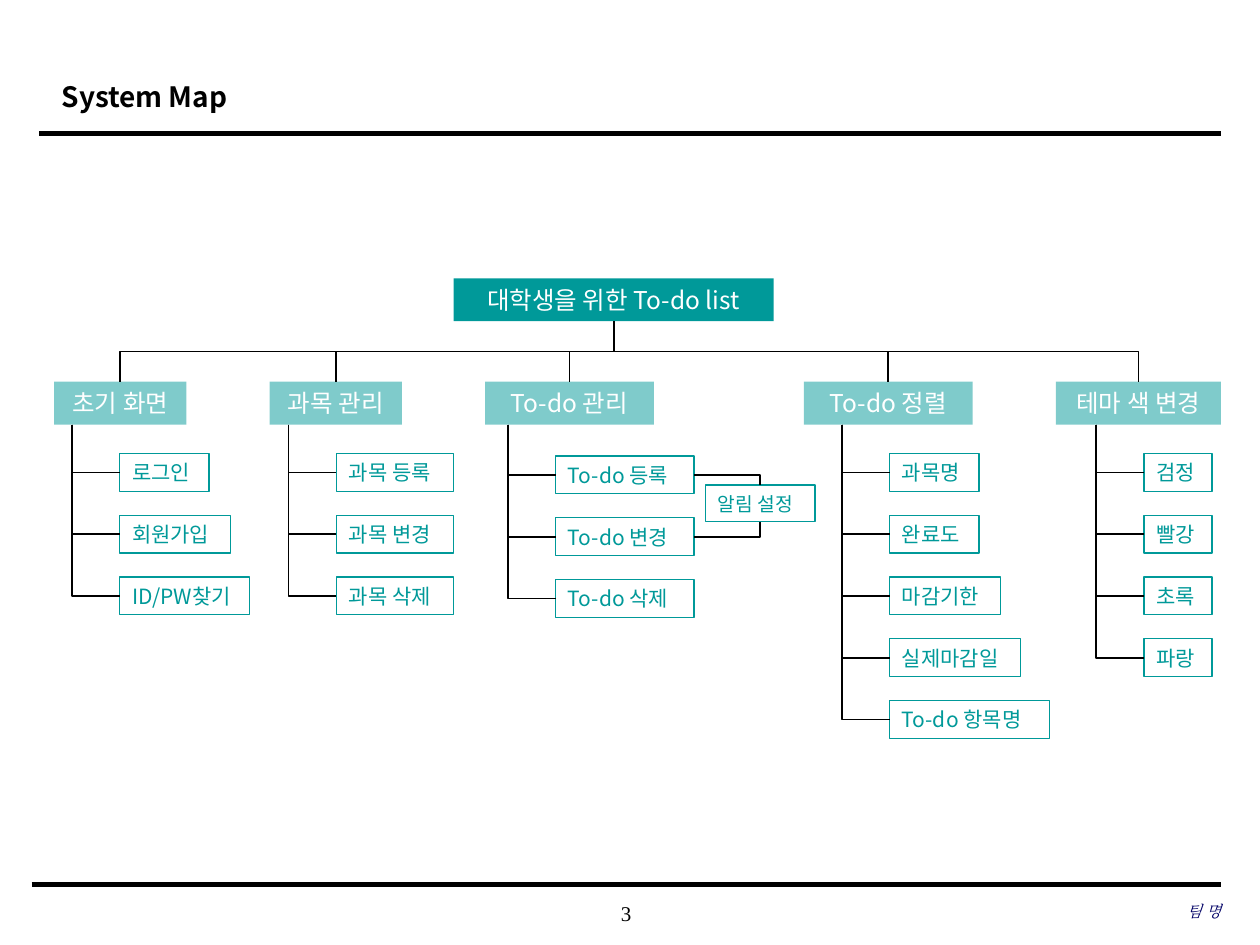
"""Build a system map slide: one root, five branches and their leaves."""
from dataclasses import dataclass

from lxml import etree
from pptx import Presentation
from pptx.dml.color import RGBColor
from pptx.enum.shapes import MSO_CONNECTOR, MSO_SHAPE
from pptx.enum.text import MSO_ANCHOR, PP_ALIGN
from pptx.oxml.ns import qn
from pptx.util import Inches, Pt

STRAIGHT, ELBOW = MSO_CONNECTOR.STRAIGHT, MSO_CONNECTOR.ELBOW
RECTANGLE = MSO_SHAPE.RECTANGLE
LEFT, CENTER, RIGHT = PP_ALIGN.LEFT, PP_ALIGN.CENTER, PP_ALIGN.RIGHT
MIDDLE = MSO_ANCHOR.MIDDLE


@dataclass(frozen=True)
class Theme:
    """Colours, fonts and type sizes of the slide."""
    teal: str = "009999"
    white: str = "FFFFFF"
    black: str = "000000"
    navy: str = "000066"
    sans: str = "Noto Sans CJK KR"
    serif: str = "Times New Roman"
    title: int = 16
    node: int = 14
    leaf: int = 12
    alarm: int = 11
    team: int = 9


@dataclass(frozen=True)
class Branch:
    """One branch: its header, and its leaves with their widths."""
    name: str
    left: float
    width: float
    leaf_left: float
    leaves: tuple
    drop: float = 0


THEME = Theme()
ROOT = (3.6, 2.21, 2.54, 0.34)
BRANCH_TOP, BRANCH_HEIGHT = 3.03, 0.34
LEAF_TOP, LEAF_HEIGHT, LEAF_PITCH, LEAF_INDENT = 3.6, 0.3, 0.49, 0.38
ALARM = (5.6, 3.85, 0.87, 0.29)
BRANCHES = (
    Branch("초기 화면", 0.43, 1.05, 0.95,
           (("로그인", 0.71), ("회원가입", 0.88), ("ID/PW찾기", 1.03))),
    Branch("과목 관리", 2.14, 1.05, 2.67,
           (("과목 등록", 0.93), ("과목 변경", 0.93), ("과목 삭제", 0.93))),
    Branch("To-do 관리", 3.85, 1.34, 4.41,
           (("To-do 등록", 1.1), ("To-do 변경", 1.1), ("To-do 삭제", 1.1)), 0.02),
    Branch("To-do 정렬", 6.38, 1.34, 7.06,
           (("과목명", 0.71), ("완료도", 0.71), ("마감기한", 0.88),
            ("실제마감일", 1.04), ("To-do 항목명", 1.27))),
    Branch("테마 색 변경", 8.38, 1.31, 9.08,
           (("검정", 0.54), ("빨강", 0.54), ("초록", 0.54), ("파랑", 0.54))),
)
TODO = BRANCHES[2]


def write(shape, text, size, color, align=LEFT, family=THEME.sans):
    """Put one formatted paragraph into a shape and return it."""
    shape.text_frame.text = text
    shape.text_frame.vertical_anchor = MIDDLE
    paragraph = shape.text_frame.paragraphs[0]
    paragraph.alignment = align
    font = paragraph.font
    font.name, font.size = family, Pt(size)
    font.color.rgb = RGBColor.from_string(color)
    latin = paragraph._p.pPr.find(qn("a:defRPr")).find(qn("a:latin"))
    east_asian = etree.Element(qn("a:ea"), typeface=family)
    latin.addnext(east_asian)
    return paragraph


def set_insets(frame, sides, ends, right=None):
    """Set the inner margins of a text frame in inches."""
    frame.margin_left = Inches(sides)
    frame.margin_right = Inches(sides if right is None else right)
    frame.margin_top = frame.margin_bottom = Inches(ends)


def add_box(slide, place):
    """Add a plain rectangle without a shadow."""
    box = slide.shapes.add_shape(RECTANGLE, *map(Inches, place))
    box.shadow.inherit = False
    return box


def add_node(slide, text, place, opacity=100):
    """Add a filled teal node with centred white text."""
    node = add_box(slide, place)
    node.fill.solid()
    node.fill.fore_color.rgb = RGBColor.from_string(THEME.teal)
    node.line.fill.background()
    if opacity < 100:
        tint = node._element.spPr.find(qn("a:solidFill"))[0]
        etree.SubElement(tint, qn("a:alpha"), val=str(opacity * 1000))
    set_insets(node.text_frame, 0.1, 0.03)
    node.text_frame.word_wrap = False
    write(node, text, THEME.node, THEME.white, CENTER)


def add_leaf(slide, text, place, size=THEME.leaf):
    """Add an outlined leaf with teal text."""
    leaf = add_box(slide, place)
    leaf.fill.background()
    leaf.line.color.rgb = RGBColor.from_string(THEME.teal)
    leaf.line.width = Pt(0.75)
    set_insets(leaf.text_frame, 0.1, 0.03, right=0)
    leaf.text_frame.word_wrap = True
    write(leaf, text, size, THEME.teal)


def add_line(slide, start, end, weight=1, kind=STRAIGHT):
    """Add a black line without a shadow."""
    line = slide.shapes.add_connector(kind, *map(Inches, (*start, *end)))
    line.line.color.rgb = RGBColor.from_string(THEME.black)
    line.line.width = Pt(weight)
    etree.SubElement(line._element.spPr, qn("a:effectLst"))
    return line


def add_elbow(slide, start, end, preset="bentConnector2"):
    """Add an elbow that leaves its start downwards."""
    (x1, y1), (x2, y2) = start, end
    middle_x, middle_y = (x1 + x2) / 2, (y1 + y2) / 2
    half_run, half_drop = abs(x2 - x1) / 2, (y2 - y1) / 2
    elbow = add_line(slide, (middle_x - half_drop, middle_y - half_run),
                     (middle_x + half_drop, middle_y + half_run), kind=ELBOW)
    properties = elbow._element.spPr
    properties.find(qn("a:prstGeom")).set("prst", preset)
    frame = properties.find(qn("a:xfrm"))
    if x2 < x1:
        frame.set("rot", str(90 * 60000))
    else:
        frame.set("rot", str(270 * 60000))
        frame.set("flipH", "1")


def add_side_elbow(slide, start, end):
    """Add an elbow that leaves its start sideways."""
    elbow = add_line(slide, start, end, kind=ELBOW)
    elbow._element.spPr.find(qn("a:prstGeom")).set("prst", "bentConnector2")


def add_label(slide, text, place, size, color, align, family):
    """Add a text box without margins."""
    label = slide.shapes.add_textbox(*map(Inches, place))
    label.text_frame.word_wrap = True
    set_insets(label.text_frame, 0, 0)
    return write(label, text, size, color, align, family)


def add_title(slide, text):
    """Place and format the title placeholder."""
    title = slide.shapes.title
    title.left, title.top, title.width, title.height = map(
        Inches, (0.39, 0.49, 7.55, 0.5))
    paragraph = write(title, text, THEME.title, THEME.black)
    paragraph.font.bold = True
    paragraph.line_spacing = 1.2


def leaf_top(branch, row):
    """Return the top of a leaf in a branch."""
    return LEAF_TOP + branch.drop + row * LEAF_PITCH


def add_branch(slide, branch):
    """Add a branch header, its leaves and the lines that join them."""
    left, top, width, height = ROOT
    add_node(slide, branch.name,
             (branch.left, BRANCH_TOP, branch.width, BRANCH_HEIGHT), opacity=50)
    add_elbow(slide, (left + width / 2, top + height),
              (branch.left + branch.width / 2, BRANCH_TOP), "bentConnector3")
    spine = (branch.leaf_left - LEAF_INDENT, BRANCH_TOP + BRANCH_HEIGHT)
    for row, (text, leaf_width) in enumerate(branch.leaves):
        y = leaf_top(branch, row)
        add_leaf(slide, text, (branch.leaf_left, y, leaf_width, LEAF_HEIGHT))
        add_elbow(slide, spine, (branch.leaf_left, y + LEAF_HEIGHT / 2))


def add_alarm(slide):
    """Add the alarm leaf shared by the first two to-do leaves."""
    left, top, width, height = ALARM
    add_leaf(slide, "알림 설정", ALARM, THEME.alarm)
    for row, edge in enumerate((top, top + height)):
        start = (TODO.leaf_left + TODO.leaves[row][1],
                 leaf_top(TODO, row) + LEAF_HEIGHT / 2)
        add_side_elbow(slide, start, (left + width / 2, edge))


def main():
    """Build and save the slide."""
    deck = Presentation()
    deck.slide_width, deck.slide_height = Inches(10), Inches(7.5)
    slide = deck.slides.add_slide(deck.slide_layouts[5])
    add_line(slide, (0.31, 1.06), (9.69, 1.06), 2.5)
    add_line(slide, (0.25, 7.02), (9.69, 7.02), 3)
    add_title(slide, "System Map")
    add_label(slide, "3", (3.93, 7.08, 2.08, 0.33), THEME.leaf, THEME.black,
              CENTER, THEME.serif)
    team = add_label(slide, "팀 명", (6.63, 7.07, 3.06, 0.33), THEME.team,
                     THEME.navy, RIGHT, THEME.serif)
    team.font.italic = True
    add_node(slide, "대학생을 위한 To-do list", ROOT)
    for branch in BRANCHES:
        add_branch(slide, branch)
    add_alarm(slide)
    deck.save("out.pptx")


if __name__ == "__main__":
    main()
